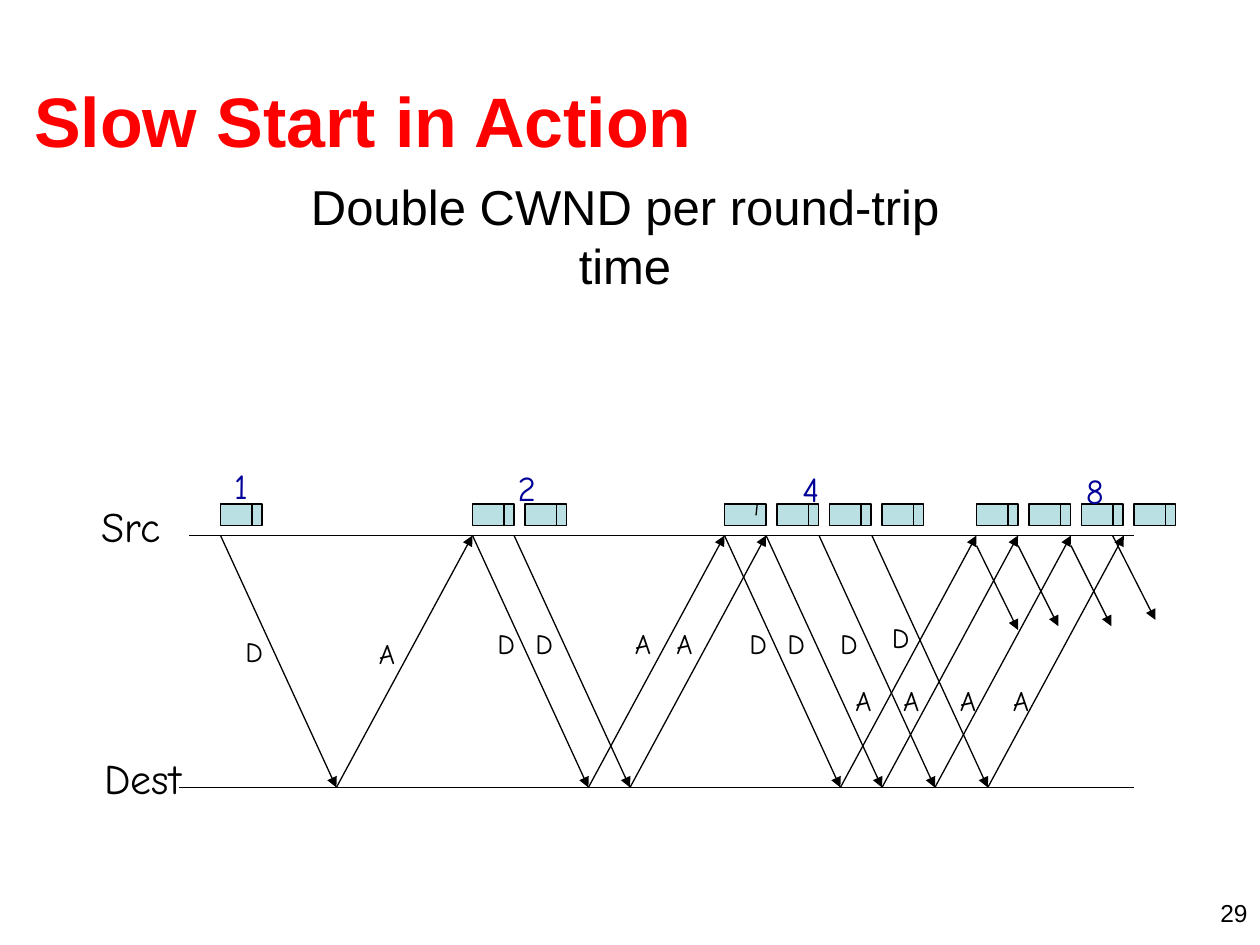
import pptx
import pptx.util
import pptx.dml.color
import pptx.enum.shapes
import pptx.enum.text
import pptx.oxml.ns
from lxml import etree
from pptx.util import Inches

THEME = {
    "sans": "Arial", "hand": "Comic Neue",
    "ink": "000000", "title": "FF0000", "count": "000099", "packet": "BBE0E3",
    "title_size": 40, "subtitle_size": 28, "host_size": 24,
    "count_size": 20, "label_size": 16, "number_size": 14, "line": 0.75,
}

# Content
TITLE = "Slow Start in Action"
SUBTITLE = "Double CWND per round-trip time"
PAGE_NUMBER = "29"
HOSTS = [("Src", 0.71, 3.92, 0.67), ("Dest", 0.73, 5.92, 0.81)]
COUNTS = [("1", 1.76, 3.64), ("2", 4.01, 3.65), ("4", 6.27, 3.66), ("8", 8.52, 3.68)]
ROUNDS = [(1.75, 1), (3.75, 2), (5.75, 4), (7.75, 4)]  # first packet, packets drawn
SEND_TIMES = [1.75, 3.75, 4.08, 5.75, 6.08, 6.5, 6.92]
NEXT_SENDS = [  # start x, start y, run, drop
    (7.75, 4.33, 0.33, 0.67), (8.08, 4.33, 0.32, 0.64),
    (8.5, 4.33, 0.32, 0.64), (8.83, 4.25, 0.34, 0.67),
]
LABELS = {
    "D": [(1.85, 4.99), (3.85, 4.92), (4.15, 4.92), (5.85, 4.92),
          (6.15, 4.92), (6.57, 4.92), (6.98, 4.88)],
    "A": [(2.91, 5), (4.94, 4.92), (5.27, 4.92), (6.69, 5.38),
          (7.07, 5.38), (7.52, 5.38), (7.94, 5.38)],
}

# Geometry
SRC_Y, DEST_Y = 4.25, 6.25
DATA_RUN, ROUND_TRIP = 0.92, 2
PACKET_TOP, PACKET_W, PACKET_H = 4, 0.33, 0.17
PACKET_STEP = 5 / 12
HEADER_X = 0.25
SHORT_DIVIDER = (6.01, 4, 6, 4.09)  # first packet of the third round


def color(name):
    return pptx.dml.color.RGBColor.from_string(THEME[name])


def write(para, text, size, font="hand", ink="ink", bold=False):
    span = para.add_run()
    span.text = text
    span.font.name = THEME[font]
    span.font.size = pptx.util.Pt(THEME[size])
    span.font.color.rgb = color(ink)
    span.font.bold = bold


def add_text(page, text, left, top, width, height, size, align="LEFT", wrap=False, **style):
    box = page.shapes.add_textbox(*map(Inches, (left, top, width, height)))
    frame = box.text_frame
    frame.word_wrap = wrap
    if not wrap:
        frame.auto_size = pptx.enum.text.MSO_AUTO_SIZE.SHAPE_TO_FIT_TEXT
    para = frame.paragraphs[0]
    para.alignment = pptx.enum.text.PP_ALIGN[align]
    write(para, text, size, **style)


def add_line(page, x1, y1, x2, y2, arrow=False):
    line = page.shapes.add_connector(
        pptx.enum.shapes.MSO_CONNECTOR.STRAIGHT, *map(Inches, (x1, y1, x2, y2)))
    line.line.color.rgb = color("ink")
    line.line.width = pptx.util.Pt(THEME["line"])
    if arrow:
        etree.SubElement(line.line._get_or_add_ln(),
                         pptx.oxml.ns.qn("a:tailEnd"), type="triangle")
    etree.SubElement(line._element.spPr, pptx.oxml.ns.qn("a:effectLst"))


def add_packet(page, left, divider):
    packet = page.shapes.add_shape(
        pptx.enum.shapes.MSO_SHAPE.RECTANGLE,
        *map(Inches, (left, PACKET_TOP, PACKET_W, PACKET_H)))
    packet.shadow.inherit = False
    packet.fill.solid()
    packet.fill.fore_color.rgb = color("packet")
    packet.line.color.rgb = color("ink")
    packet.line.width = pptx.util.Pt(THEME["line"])
    add_line(page, *divider)


def main():
    deck = pptx.Presentation()
    deck.slide_width, deck.slide_height = Inches(10), Inches(7.5)
    page = deck.slides.add_slide(deck.slide_layouts[5])

    # Title, subtitle and page number
    title = page.shapes.title
    title.left, title.top, title.width, title.height = map(Inches, (0.17, 0.32, 9.58, 1.25))
    title.text_frame.vertical_anchor = pptx.enum.text.MSO_ANCHOR.MIDDLE
    para = title.text_frame.paragraphs[0]
    para.alignment = pptx.enum.text.PP_ALIGN.LEFT
    write(para, TITLE, "title_size", "sans", "title", bold=True)
    add_text(page, SUBTITLE, 1.95, 1.35, 6.02, 0.57, "subtitle_size", "CENTER", font="sans")
    add_text(page, PAGE_NUMBER, 7.67, 7.08, 2.33, 0.25, "number_size", "RIGHT",
             wrap=True, font="sans")

    # Host time lines
    add_line(page, 1.5, SRC_Y, 9, SRC_Y)
    add_line(page, 1.42, DEST_Y, 9, DEST_Y)
    for name, left, top, width in HOSTS:
        add_text(page, name, left, top, width, 0.5, "host_size")

    # Data going down and its acknowledgement coming back
    for start in SEND_TIMES:
        arrival = start + DATA_RUN
        add_line(page, start, SRC_Y, arrival, DEST_Y, arrow=True)
        add_line(page, arrival, DEST_Y, start + ROUND_TRIP, SRC_Y, arrow=True)
    for x, y, run, drop in NEXT_SENDS:
        add_line(page, x, y, x + run, y + drop, arrow=True)

    # Packets of each round
    for number, (first, count) in enumerate(ROUNDS):
        for index in range(count):
            left = first + index * PACKET_STEP
            x = left + HEADER_X
            divider = (x, PACKET_TOP, x, PACKET_TOP + PACKET_H)
            if (number, index) == (2, 0):
                divider = SHORT_DIVIDER
            add_packet(page, left, divider)

    # Arrow labels and window sizes
    for letter, places in LABELS.items():
        for left, top in places:
            add_text(page, letter, left, top, 0.34, 0.37, "label_size")
    for count, left, top in COUNTS:
        add_text(page, count, left, top, 0.33, 0.44, "count_size", ink="count")

    deck.save("out.pptx")


if __name__ == "__main__":
    main()
